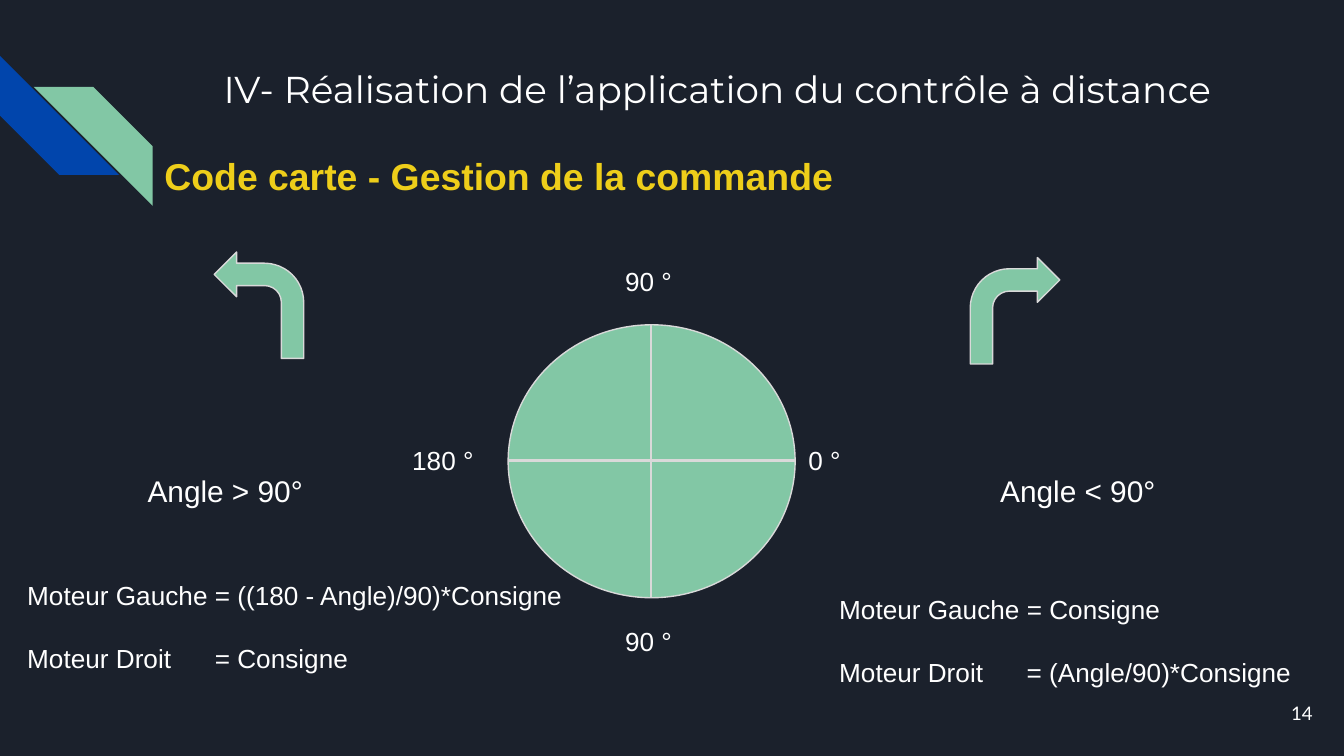
from dataclasses import dataclass

from lxml.etree import SubElement
from pptx import Presentation
from pptx.dml.color import RGBColor
from pptx.enum.shapes import MSO_CONNECTOR, MSO_SHAPE
from pptx.enum.text import MSO_ANCHOR, PP_ALIGN
from pptx.oxml.ns import qn
from pptx.shapes.autoshape import Shape
from pptx.slide import Slide
from pptx.text.text import TextFrame
from pptx.util import Emu, Pt

PX = 9525  # EMU per px, 96 px to the inch


@dataclass(frozen=True)
class Theme:
    background: str = "1B212C"
    text: str = "FFFFFF"
    accent: str = "EECE1A"
    blue: str = "0145AC"
    green: str = "82C7A5"
    line: str = "D9D9D9"
    body_font: str = "Arial"
    title_font: str = "Montserrat"
    number_font: str = "Lato"
    heading_size: int = 20
    angle_size: int = 16
    body_size: int = 14
    number_size: int = 10


@dataclass(frozen=True)
class Box:
    left: int
    top: int
    width: int
    height: int

    def emu(self) -> tuple[Emu, ...]:
        return tuple(Emu(n * PX) for n in (self.left, self.top, self.width, self.height))


@dataclass(frozen=True)
class Turn:
    """One steering case: its arrow, angle condition and motor formulas."""
    arrow: Box
    flipped: bool
    condition: str
    condition_box: Box
    formulas: tuple[str, ...]
    formulas_box: Box


THEME = Theme()
DIAL = Box(363, 232, 205, 195)
DIAL_LABELS = (
    ("90 °", Box(437, 180, 58, 41)),
    ("90 °", Box(437, 437, 58, 41)),
    ("0 °", Box(568, 308, 58, 41)),
    ("180 °", Box(285, 308, 66, 41)),
)
TURNS = (
    Turn(Box(153, 180, 64, 76), True, "Angle > 90°", Box(96, 328, 132, 41),
         ("Moteur Gauche = ((180 - Angle)/90)*Consigne", "Moteur Droit\t= Consigne"),
         Box(10, 404, 444, 64)),
    Turn(Box(693, 184, 64, 76), False, "Angle < 90°", Box(705, 328, 132, 41),
         ("Moteur Gauche = Consigne", "Moteur Droit\t= (Angle/90)*Consigne"),
         Box(590, 414, 348, 64)),
)
FORMULA_TAB = 134
FORMULA_GAP = 17


def color(value: str) -> RGBColor:
    return RGBColor.from_string(value)


def write_text(frame: TextFrame, *lines: str, size: int = THEME.body_size,
               font: str = THEME.body_font, fill: str = THEME.text, bold: bool = False,
               align: PP_ALIGN = PP_ALIGN.LEFT, anchor: MSO_ANCHOR = MSO_ANCHOR.TOP,
               line_spacing: float = 1.0, gap: float = 0, tab: int = 0) -> None:
    frame.word_wrap = True
    frame.vertical_anchor = anchor
    frame.margin_left = frame.margin_right = Pt(7.2)
    frame.margin_top = frame.margin_bottom = Pt(7.2)
    for index, line in enumerate(lines):
        paragraph = frame.add_paragraph() if index else frame.paragraphs[0]
        paragraph.alignment = align
        paragraph.line_spacing = line_spacing
        paragraph.space_before = Pt(gap if index else 0)
        if tab:
            tabs = SubElement(paragraph._p.get_or_add_pPr(), qn("a:tabLst"))
            SubElement(tabs, qn("a:tab"), pos=str(tab * PX), algn="l")
        run = paragraph.add_run()
        run.text = line
        run.font.size = Pt(size)
        run.font.name = font
        run.font.bold = bold
        run.font.color.rgb = color(fill)


def add_text(slide: Slide, box: Box, *lines: str, **text_format) -> None:
    write_text(slide.shapes.add_textbox(*box.emu()).text_frame, *lines, **text_format)


def add_figure(slide: Slide, kind: MSO_SHAPE, box: Box, fill: str,
               outlined: bool = False, flipped: bool = False) -> Shape:
    shape = slide.shapes.add_shape(kind, *box.emu())
    shape.shadow.inherit = False
    shape.fill.solid()
    shape.fill.fore_color.rgb = color(fill)
    if outlined:
        shape.line.color.rgb = color(THEME.line)
        shape.line.width = Pt(0.75)
    else:
        shape.line.fill.background()
    if flipped:
        shape._element.spPr.get_or_add_xfrm().set("flipH", "1")
    return shape


def add_line(slide: Slide, *ends: int) -> None:
    connector = slide.shapes.add_connector(MSO_CONNECTOR.STRAIGHT, *(Emu(n * PX) for n in ends))
    connector.line.color.rgb = color(THEME.line)
    connector.line.width = Pt(1.5)
    SubElement(connector._element.spPr, qn("a:effectLst"))


def add_stripes(slide: Slide) -> None:
    blue = add_figure(slide, MSO_SHAPE.DIAGONAL_STRIPE, Box(0, 40, 85, 85), THEME.blue)
    blue.rotation = 270
    add_figure(slide, MSO_SHAPE.DIAGONAL_STRIPE, Box(24, 62, 85, 85), THEME.green, flipped=True)


def add_title(slide: Slide, text: str) -> None:
    title = slide.shapes.title
    title.left, title.top, title.width, title.height = Box(73, 33, 802, 96).emu()
    write_text(title.text_frame, text, size=THEME.heading_size, font=THEME.title_font,
               align=PP_ALIGN.RIGHT, line_spacing=1.15)


def add_dial(slide: Slide) -> None:
    add_figure(slide, MSO_SHAPE.OVAL, DIAL, THEME.green, outlined=True)
    for text, box in DIAL_LABELS:
        add_text(slide, box, text)
    right, bottom = DIAL.left + DIAL.width, DIAL.top + DIAL.height
    middle_x, middle_y = (DIAL.left + right) // 2, (DIAL.top + bottom) // 2
    add_line(slide, DIAL.left, middle_y, right, middle_y)
    add_line(slide, middle_x, DIAL.top, middle_x, bottom)


def add_turn(slide: Slide, turn: Turn) -> None:
    add_figure(slide, MSO_SHAPE.BENT_ARROW, turn.arrow, THEME.green,
               outlined=True, flipped=turn.flipped)
    add_text(slide, turn.condition_box, turn.condition, size=THEME.angle_size)
    add_text(slide, turn.formulas_box, *turn.formulas, gap=FORMULA_GAP, tab=FORMULA_TAB)


def main() -> None:
    presentation = Presentation()
    presentation.slide_width, presentation.slide_height = Emu(960 * PX), Emu(540 * PX)
    slide = presentation.slides.add_slide(presentation.slide_layouts[5])
    slide.background.fill.solid()
    slide.background.fill.fore_color.rgb = color(THEME.background)

    add_stripes(slide)
    add_text(slide, Box(889, 489, 58, 41), "14", size=THEME.number_size,
             font=THEME.number_font, align=PP_ALIGN.RIGHT, anchor=MSO_ANCHOR.MIDDLE)
    add_title(slide, "IV- Réalisation de l’application du contrôle à distance")
    add_dial(slide)
    add_text(slide, Box(108, 100, 562, 54), "Code carte - Gestion de la commande",
             size=THEME.heading_size, fill=THEME.accent, bold=True)
    for turn in TURNS:
        add_turn(slide, turn)
    presentation.save("out.pptx")


if __name__ == "__main__":
    main()
